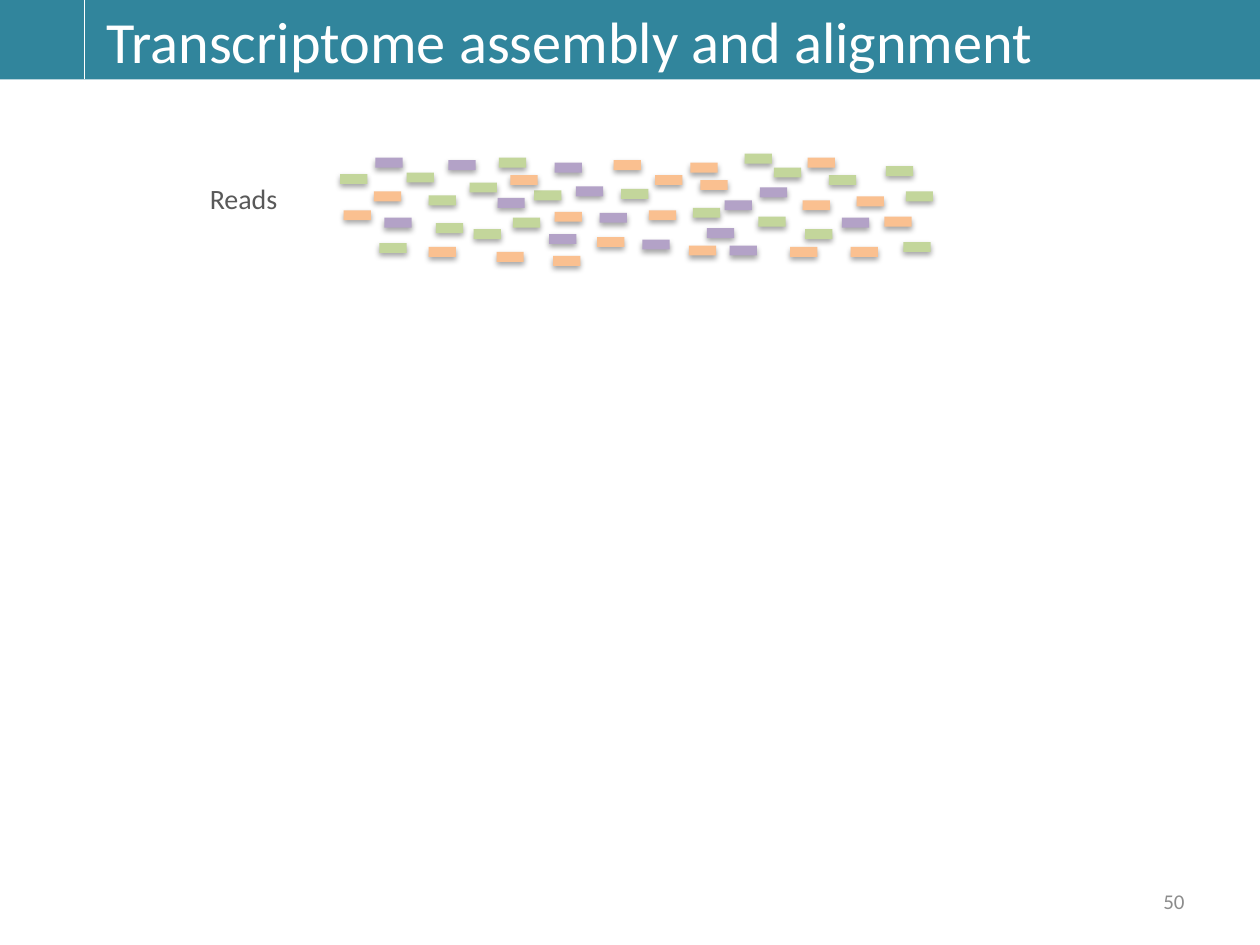
"""Build the slide on transcriptome assembly with its scattered coloured reads."""
from lxml.etree import SubElement
from pptx import Presentation
from pptx.dml.color import RGBColor
from pptx.enum.shapes import MSO_CONNECTOR, MSO_SHAPE
from pptx.enum.text import MSO_ANCHOR, MSO_AUTO_SIZE, PP_ALIGN
from pptx.oxml import parse_xml
from pptx.oxml.ns import qn
from pptx.util import Cm, Pt


def colour(hex_value):
    return RGBColor.from_string(hex_value)


presentation = Presentation()
presentation.slide_width, presentation.slide_height = Cm(25.4), Cm(19.05)
slide = presentation.slides.add_slide(presentation.slide_layouts[6])

header_height = Cm(1.6)
header = slide.shapes.add_shape(MSO_SHAPE.RECTANGLE, 0, 0, presentation.slide_width, header_height)
header.shadow.inherit = False
header.fill.solid()
header.fill.fore_color.rgb = colour("31859C")
header.line.fill.background()

labels = [
    ("Transcriptome assembly and alignment", (1.9, 0.13, 23.4, 1.37), 33.3, "FFFFFF", PP_ALIGN.LEFT,
     {"word_wrap": True, "vertical_anchor": MSO_ANCHOR.MIDDLE, "margin_top": 0, "margin_bottom": 0}),
    ("50", (18.2, 17.66, 5.93, 1.01), 12, "8C8C8C", PP_ALIGN.RIGHT,
     {"word_wrap": True, "vertical_anchor": MSO_ANCHOR.MIDDLE}),
    ("Reads", (3.98, 3.53, 2.16, 0.94), 16, "595959", PP_ALIGN.LEFT,
     {"word_wrap": False, "auto_size": MSO_AUTO_SIZE.SHAPE_TO_FIT_TEXT}),
]
for wording, place, size, ink, alignment, frame_format in labels:
    frame = slide.shapes.add_textbox(*map(Cm, place)).text_frame
    for attribute, value in frame_format.items():
        setattr(frame, attribute, value)
    paragraph = frame.paragraphs[0]
    paragraph.alignment = alignment
    run = paragraph.add_run()
    run.text = wording
    for attribute, value in {"name": "Calibri", "size": Pt(size)}.items():
        setattr(run.font, attribute, value)
    run.font.color.rgb = colour(ink)

divider = slide.shapes.add_connector(MSO_CONNECTOR.STRAIGHT, Cm(1.7), 0, Cm(1.7), header_height)
divider.line.color.rgb = colour("FFFFFF")
divider.line.width = Pt(0.75)
SubElement(divider._element.spPr, qn("a:effectLst"))

read_shadow = (
    '<a:effectLst xmlns:a="http://schemas.openxmlformats.org/drawingml/2006/main">'
    '<a:outerShdw blurRad="40000" dist="23000" dir="5400000" rotWithShape="0">'
    '<a:srgbClr val="000000"><a:alpha val="35000"/></a:srgbClr>'
    '</a:outerShdw></a:effectLst>'
)
read_positions = {
    "C3D69B": [
        (18.26, 3.86), (9.55, 4.62), (7.65, 4.9), (8.64, 3.94), (10.06, 3.18),
        (8.2, 3.48), (6.86, 3.51), (17.86, 3.35), (16.23, 4.62), (18.21, 4.88),
        (8.79, 4.5), (10.34, 4.39), (9.47, 3.68), (10.77, 3.84), (12.52, 3.81),
        (15.01, 3.1), (13.97, 4.19), (15.6, 3.38), (16.71, 3.53), (15.29, 4.37),
    ],
    "B3A2C7": [
        (9.04, 3.23), (7.75, 4.39), (10.03, 3.99), (7.57, 3.18), (15.32, 3.78),
        (11.18, 3.28), (12.09, 4.29), (14.25, 4.6), (11.07, 4.72), (12.95, 4.83),
        (11.61, 3.76), (14.71, 4.95), (14.61, 4.04), (16.97, 4.39),
    ],
    "FAC090": [
        (12.37, 3.23), (6.93, 4.24), (7.54, 3.86), (10.01, 5.08), (12.04, 4.78),
        (13.21, 3.53), (11.15, 5.16), (13.08, 4.24), (11.18, 4.27), (10.29, 3.53),
        (13.92, 3.28), (14.12, 3.63), (13.89, 4.95), (8.64, 4.98), (15.93, 4.98),
        (16.28, 3.18), (17.83, 4.37), (17.15, 4.98), (16.18, 4.04), (17.27, 3.96),
    ],
}
reads = slide.shapes.add_group_shape()
for read_colour, positions in read_positions.items():
    for left, top in positions:
        read = reads.shapes.add_shape(MSO_SHAPE.RECTANGLE, Cm(left), Cm(top), Cm(0.55), Cm(0.2))
        read.fill.solid()
        read.fill.fore_color.rgb = colour(read_colour)
        read.line.fill.background()
        read._element.spPr.append(parse_xml(read_shadow))

presentation.save("out.pptx")
